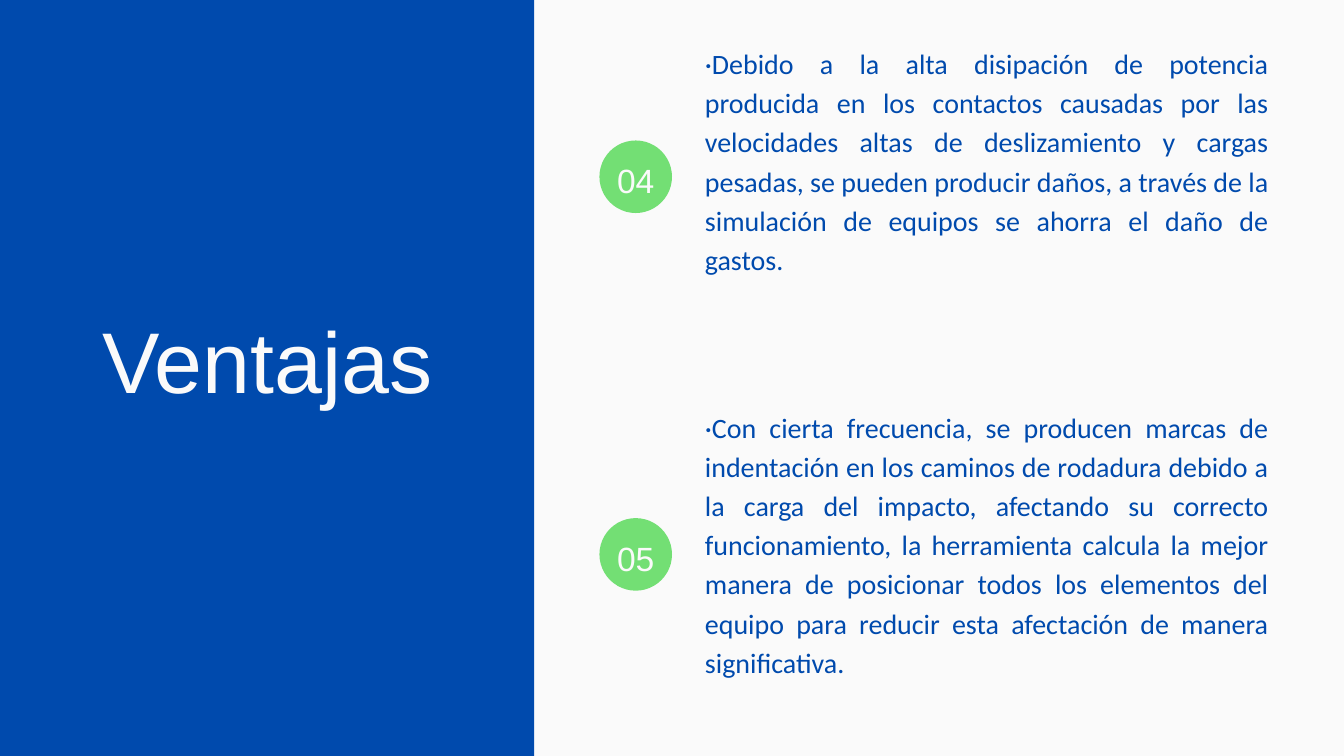
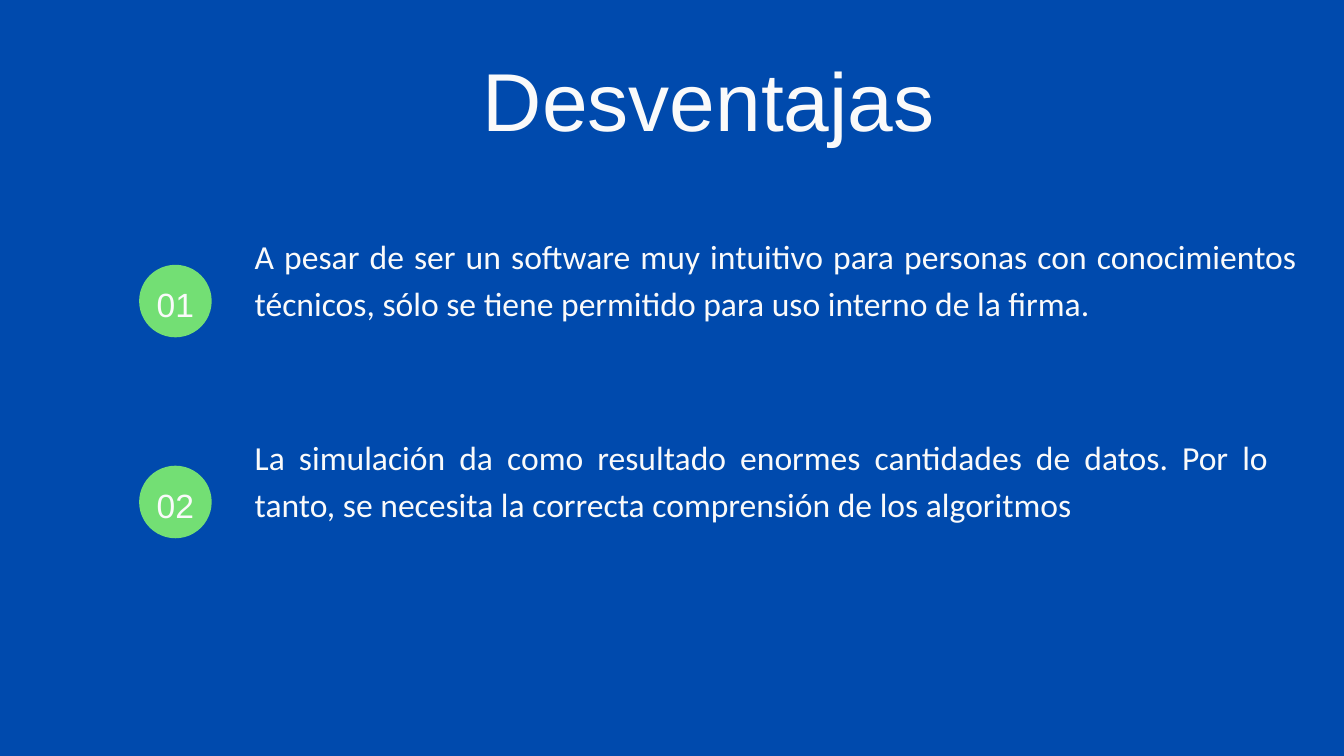
from dataclasses import dataclass

from pptx import Presentation
from pptx.dml.color import RGBColor
from pptx.enum.shapes import MSO_SHAPE
from pptx.enum.text import MSO_AUTO_SIZE, PP_ALIGN
from pptx.util import Inches, Pt

RECT, OVAL = MSO_SHAPE.RECTANGLE, MSO_SHAPE.OVAL
CENTER, JUSTIFY = PP_ALIGN.CENTER, PP_ALIGN.JUSTIFY
GROW = MSO_AUTO_SIZE.SHAPE_TO_FIT_TEXT


@dataclass(frozen=True)
class Theme:
    blue: RGBColor = RGBColor(0x00, 0x4A, 0xAD)
    green: RGBColor = RGBColor(0x73, 0xDF, 0x74)
    white: RGBColor = RGBColor(0xFA, 0xFA, 0xFA)
    heading_font: str = "Arial"
    body_font: str = "Calibri"
    side_title: float = 92.3
    top_title: float = 88
    body: float = 36
    small_body: float = 30
    title_leading: float = 1.2
    body_leading: float = 1.4


class Deck:
    def __init__(self, theme):
        self.theme = theme
        self.prs = Presentation()
        self.prs.slide_width = Inches(20)
        self.prs.slide_height = Inches(11.25)
        self.s = None

    def slide(self, background):
        self.s = self.prs.slides.add_slide(self.prs.slide_layouts[6])
        fill = self.s.background.fill
        fill.solid()
        fill.fore_color.rgb = background

    def shape(self, shapes, kind, box, color):
        sp = shapes.add_shape(kind, *map(Inches, box))
        sp.shadow.inherit = False
        sp.fill.solid()
        sp.fill.fore_color.rgb = color
        sp.line.fill.background()

    def panel(self, width):
        self.shape(self.s.shapes, RECT, (0, 0, width, 11.25), self.theme.blue)

    def text(self, shapes, text, box, size, font, color, align, leading):
        tf = shapes.add_textbox(*map(Inches, box)).text_frame
        frame = dict(word_wrap=True, auto_size=GROW, margin_left=0,
                     margin_right=0, margin_top=0, margin_bottom=0)
        for name, value in frame.items():
            setattr(tf, name, value)
        p = tf.paragraphs[0]
        p.alignment = align
        p.line_spacing = Pt(round(size * leading, 1))
        r = p.add_run()
        r.text = text
        for name, value in dict(size=Pt(size), name=font).items():
            setattr(r.font, name, value)
        r.font.color.rgb = color

    def title(self, text, box, size):
        t = self.theme
        self.text(self.s.shapes, text, box, size, t.heading_font, t.white,
                  CENTER, t.title_leading)

    def body(self, text, box, size, color):
        t = self.theme
        self.text(self.s.shapes, text, box, size, t.body_font, color,
                  JUSTIFY, t.body_leading)

    def badge(self, number, left, top):
        t = self.theme
        shapes = self.s.shapes.add_group_shape().shapes
        self.shape(shapes, OVAL, (left, top, 1.08, 1.08), t.green)
        self.text(shapes, f"{number:02d}", (left + 0.18, top + 0.19, 0.72, 0.64),
                  t.body, t.heading_font, t.white, CENTER, t.body_leading)


ADVANTAGES = [
    (4, 2.09, (10.49, 0.61, 8.39, 4.65),
     "·Debido a la alta disipación de potencia producida en los contactos "
     "causadas por las velocidades altas de deslizamiento y cargas pesadas, "
     "se pueden producir daños, a través de la simulación de equipos se ahorra "
     "el daño de gastos."),
    (5, 7.71, (10.49, 6.02, 8.39, 5.23),
     "·Con cierta frecuencia, se producen marcas de indentación en los caminos "
     "de rodadura debido a la carga del impacto, afectando su correcto "
     "funcionamiento, la herramienta calcula la mejor manera de posicionar "
     "todos los elementos del equipo para reducir esta afectación de manera "
     "significativa."),
]
DISADVANTAGES = [
    (1, 3.94, (3.79, 3.41, 15.51, 2.07),
     "A pesar de ser un software muy intuitivo para personas con conocimientos "
     "técnicos, sólo se tiene permitido para uso interno de la firma."),
    (2, 6.93, (3.79, 6.4, 15.09, 2.07),
     "La simulación da como resultado enormes cantidades de datos. Por lo "
     "tanto, se necesita la correcta comprensión de los algoritmos"),
]


def add_points(deck, points, badge_left, size, color):
    for number, badge_top, box, text in points:
        deck.body(text, box, size, color)
        deck.badge(number, badge_left, badge_top)


def main():
    theme = Theme()
    deck = Deck(theme)

    deck.slide(theme.white)
    deck.panel(7.95)
    deck.title("Ventajas", (0.43, 4.58, 7.1, 1.64), theme.side_title)
    add_points(deck, ADVANTAGES, 8.92, theme.small_body, theme.blue)

    deck.slide(theme.blue)
    deck.title("Desventajas", (6.67, 0.73, 7.75, 1.46), theme.top_title)
    add_points(deck, DISADVANTAGES, 2.07, theme.body, theme.white)

    deck.prs.save("out.pptx")


if __name__ == "__main__":
    main()
